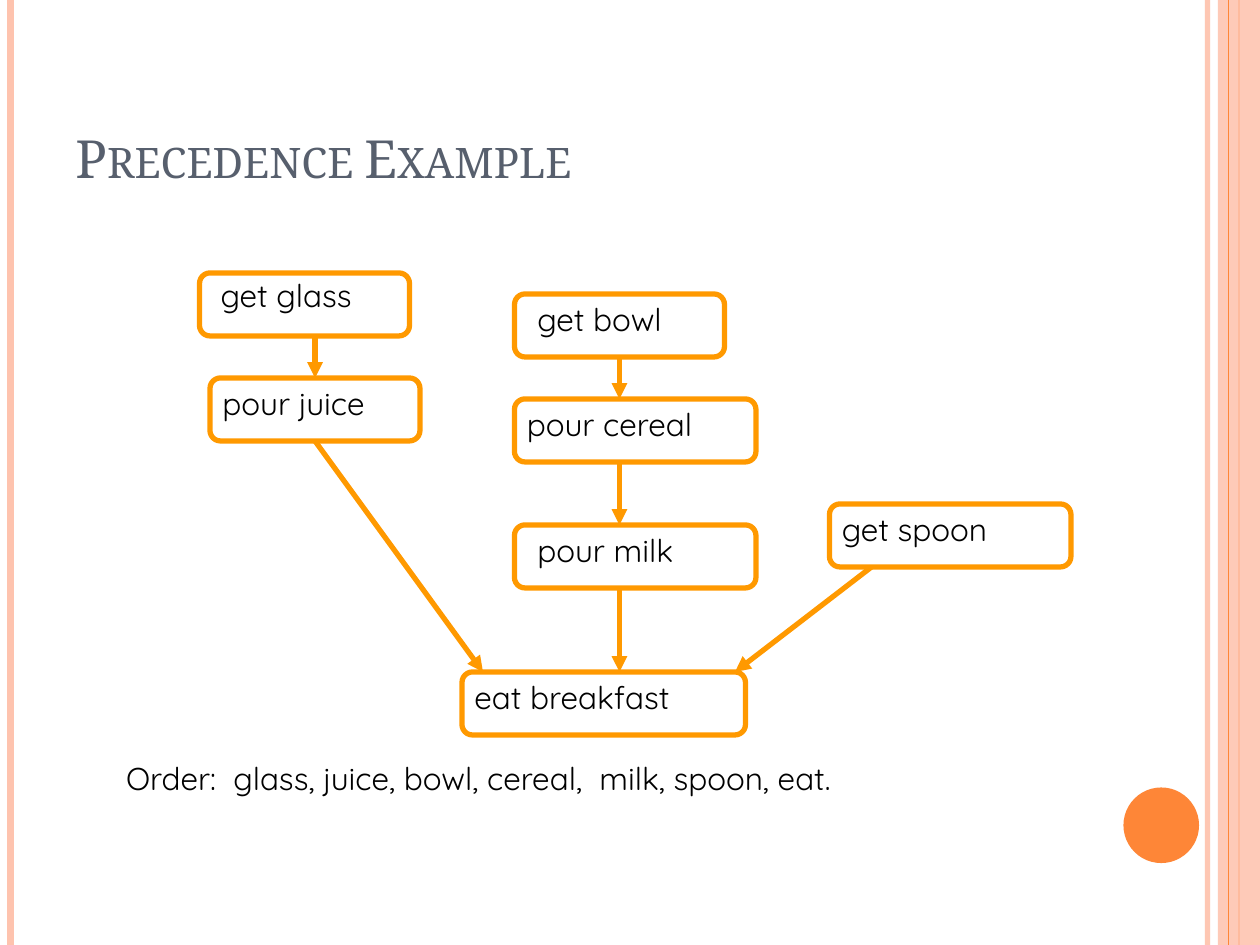
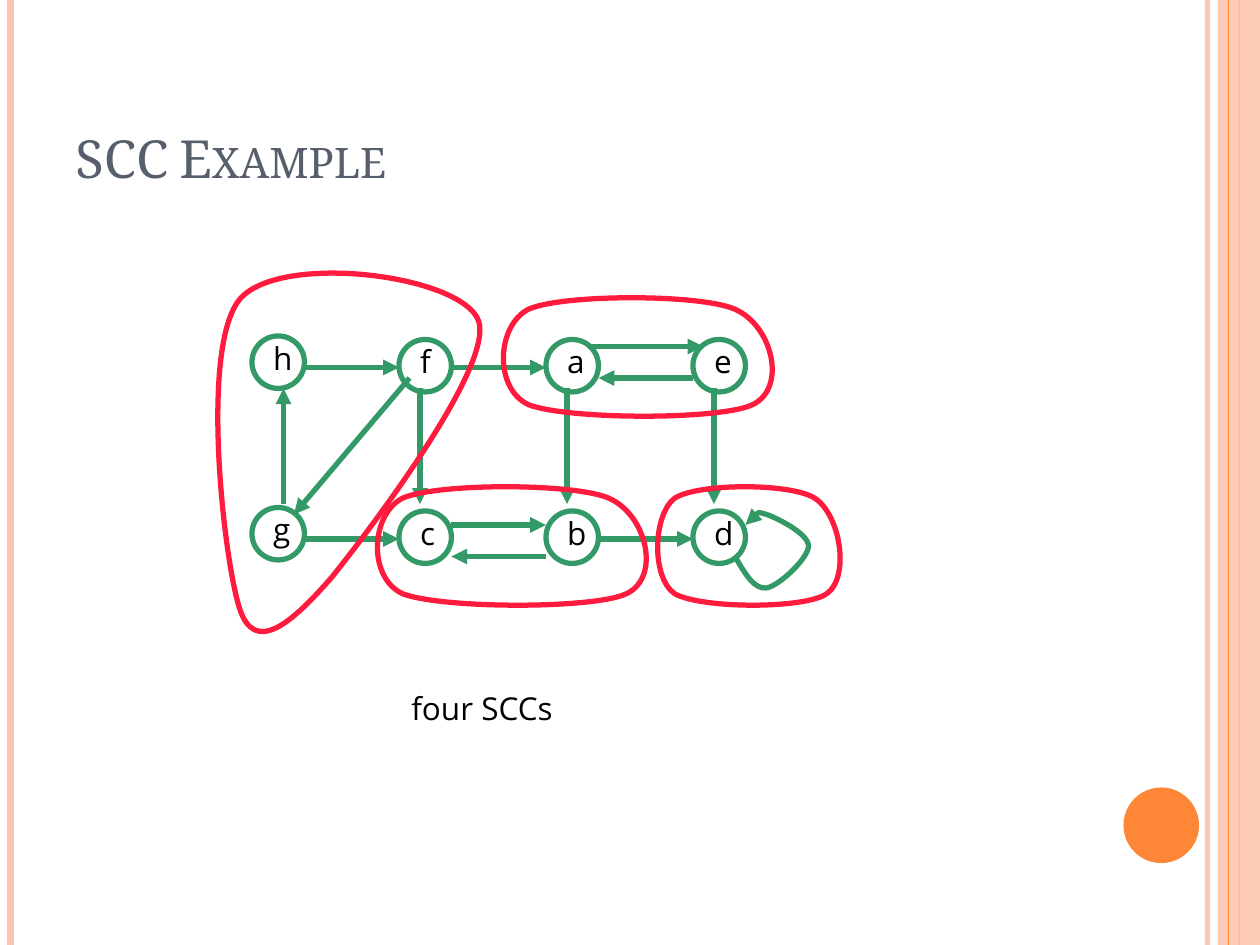
"""Build two slides on graphs: a precedence diagram and strongly connected components."""
from typing import Any, NamedTuple

from lxml.etree import SubElement
from pptx import Presentation
from pptx.dml.color import RGBColor
from pptx.enum.shapes import MSO_CONNECTOR, MSO_SHAPE
from pptx.enum.text import MSO_ANCHOR
from pptx.oxml.ns import qn
from pptx.util import Pt

WHITE = RGBColor(0xFF, 0xFF, 0xFF)
BLACK = RGBColor(0x00, 0x00, 0x00)
SLATE = RGBColor(0x57, 0x5F, 0x6D)
PEACH = RGBColor(0xFE, 0xC3, 0xAE)
ORANGE = RGBColor(0xFE, 0x86, 0x37)
AMBER = RGBColor(0xFF, 0x99, 0x00)
GREEN = RGBColor(0x33, 0x99, 0x66)
RED = RGBColor(0xFF, 0x1B, 0x3E)

WIDTH, HEIGHT = 720, 540
TITLE_FONT = {"name": "Noto Serif", "size": Pt(30)}
STEP_FONT = {"name": "Quicksand", "size": Pt(18)}
NODE_FONT = {"name": "Open Sans", "size": Pt(18)}
TITLE_FRAME = {"word_wrap": True, "vertical_anchor": MSO_ANCHOR.BOTTOM}
LABEL_FRAME = {"word_wrap": True, "vertical_anchor": MSO_ANCHOR.TOP}

Point = tuple[float, float]


class Stripe(NamedTuple):
    x: float
    weight: float
    color: RGBColor
    opacity: int = 100


class Step(NamedTuple):
    label: str
    left: float
    top: float
    width: float
    label_left: float
    label_top: float


class Node(NamedTuple):
    letter: str
    column: int
    row: int


class Arrow(NamedTuple):
    start: Point
    end: Point


class Component(NamedTuple):
    left: float
    top: float
    width: float


LEFT_STRIPES = [Stripe(690, 3, PEACH, 93), Stripe(6, 4.5, PEACH), Stripe(708, 1.5, ORANGE)]
BAND_STRIPE = Stripe(702, 0.75, ORANGE)

STEP_HEIGHT = 36
STEPS = [
    Step("get glass", 114, 156, 120, 119, 154),
    Step("pour juice", 120, 216, 120, 120, 216),
    Step("get bowl", 294, 168, 120, 300, 168),
    Step("pour cereal", 294, 228, 138, 294, 228),
    Step("pour milk", 294, 300, 138, 300, 300),
    Step("get spoon", 474, 288, 138, 474, 288),
    Step("eat breakfast", 264, 384, 162, 264, 384),
]
STEP_ARROWS = [
    Arrow((180, 192), (180, 216)),
    Arrow((354, 204), (354, 228)),
    Arrow((354, 264), (354, 300)),
    Arrow((180, 252), (276, 384)),
    Arrow((354, 336), (354, 384)),
    Arrow((498, 324), (420, 384)),
]

NODE_SIZE, COLUMN_STEP, ROW_STEP = 30, 84, 98
NODES = [Node(letter, column, row)
         for row, letters in enumerate(("hfae", "gcbd"))
         for column, letter in enumerate(letters)]
NODE_ARROWS = [
    Arrow((174, 210), (228, 210)),
    Arrow((258, 210), (312, 210)),
    Arrow((336, 198), (402, 198)),
    Arrow((396, 216), (342, 216)),
    Arrow((174, 308), (228, 308)),
    Arrow((258, 300), (312, 300)),
    Arrow((312, 318), (258, 318)),
    Arrow((342, 308), (396, 308)),
    Arrow((162, 288), (162, 222)),
    Arrow((234, 216), (168, 294)),
    *(Arrow((x, 222), (x, 288)) for x in range(240, 409, COLUMN_STEP)),
]
SELF_LOOP = [
    (420, 318), (425.5, 327.5), (431, 337), (438, 336),
    (445, 335), (462, 319), (462, 312),
    (462, 305), (444, 296), (438, 294),
    (432, 292), (429, 296), (426, 300),
]
TRIANGLE_COMPONENT = [
    (137, 171), (114, 199), (128, 321), (137, 348),
    (145.5, 374), (166, 357), (189.5, 330),
    (212, 302), (282, 209.5), (273.5, 183.5),
    (264, 157), (160, 144), (137, 171),
]
COMPONENT_HEIGHT = 72
COMPONENT_OUTLINE = [
    (0.12, 0.12), (0.01, 0.25), (0, 0.75), (0.12, 0.88),
    (0.26, 1), (0.77, 1), (0.88, 0.88),
    (1, 0.75), (0.95, 0.25), (0.82, 0.12),
    (0.7, 0), (0.24, 0), (0.12, 0.12),
]
COMPONENTS = [Component(210, 276, 168), Component(372, 276, 114), Component(282, 168, 168)]


def apply_format(target: Any, values: dict[str, Any]) -> None:
    """Set every attribute in values on target."""
    for attribute, value in values.items():
        setattr(target, attribute, value)


def set_opacity(part: Any, percent: int) -> None:
    """Make the colour inside part translucent."""
    for color in part._element.spPr.iter(qn("a:srgbClr")):
        SubElement(color, qn("a:alpha"), val=str(percent * 1000))


def add_arrowhead(part: Any) -> None:
    """End the line of part in a triangle."""
    SubElement(part.line._get_or_add_ln(), qn("a:tailEnd"), type="triangle")


def set_outline(part: Any, color: RGBColor, weight: float = 3) -> None:
    """Give part a solid line."""
    part.line.color.rgb = color
    part.line.width = Pt(weight)


def draw_line(shapes: Any, start: Point, end: Point, color: RGBColor, weight: float = 3) -> Any:
    """Draw a straight line without a shadow."""
    line = shapes.add_connector(MSO_CONNECTOR.STRAIGHT, *map(Pt, start + end))
    set_outline(line, color, weight)
    SubElement(line._element.spPr, qn("a:effectLst"))
    return line


def draw_arrow(shapes: Any, arrow: Arrow, color: RGBColor) -> None:
    """Draw a line that ends in an arrowhead."""
    add_arrowhead(draw_line(shapes, arrow.start, arrow.end, color))


def draw_stripe(shapes: Any, stripe: Stripe) -> None:
    """Draw a vertical stripe over the full slide height."""
    line = draw_line(shapes, (stripe.x, 0), (stripe.x, HEIGHT), stripe.color, stripe.weight)
    if stripe.opacity < 100:
        set_opacity(line, stripe.opacity)


def draw_filled(shapes: Any, kind: MSO_SHAPE, box: tuple, color: RGBColor) -> Any:
    """Draw a filled preset shape without a line."""
    filled = shapes.add_shape(kind, *map(Pt, box))
    filled.shadow.inherit = False
    filled.fill.solid()
    filled.fill.fore_color.rgb = color
    filled.line.fill.background()
    return filled


def draw_outlined(shapes: Any, kind: MSO_SHAPE, box: tuple, color: RGBColor) -> Any:
    """Draw a preset shape that has only a line."""
    outlined = shapes.add_shape(kind, *map(Pt, box))
    outlined.shadow.inherit = False
    outlined.fill.background()
    set_outline(outlined, color)
    return outlined


def draw_text(shapes: Any, text: str, box: tuple, font: dict, color: RGBColor = BLACK,
              frame: dict = LABEL_FRAME) -> Any:
    """Write one line of text and return its run."""
    text_frame = shapes.add_textbox(*map(Pt, box)).text_frame
    apply_format(text_frame, frame)
    run = text_frame.paragraphs[0].add_run()
    run.text = text
    apply_format(run.font, font)
    run.font.color.rgb = color
    return run


def draw_curve(shapes: Any, points: list[Point], color: RGBColor, close: bool = True) -> Any:
    """Draw a chain of Bezier curves: a start, then three points for each curve."""
    start, *rest = [(Pt(x), Pt(y)) for x, y in points]
    builder = shapes.build_freeform(*start)
    builder.add_line_segments(rest, close=close)
    curve = builder.convert_to_shape()
    segments = list(curve._element.iter(qn("a:lnTo")))
    for first in range(0, len(segments), 3):
        outline = segments[first].getparent()
        bezier = SubElement(outline, qn("a:cubicBezTo"))
        segments[first].addprevious(bezier)
        for segment in segments[first:first + 3]:
            bezier.append(segment[0])
            outline.remove(segment)
    curve.shadow.inherit = False
    curve.fill.background()
    set_outline(curve, color)
    return curve


def draw_step(shapes: Any, step: Step) -> None:
    """Draw a rounded box with its label."""
    label_box = (step.label_left, step.label_top, step.width, STEP_HEIGHT)
    draw_text(shapes, step.label, label_box, STEP_FONT)
    box = (step.left, step.top, step.width, STEP_HEIGHT)
    draw_outlined(shapes, MSO_SHAPE.ROUNDED_RECTANGLE, box, AMBER)


def draw_node(shapes: Any, node: Node) -> None:
    """Draw a circled letter as one group."""
    left = 144 + node.column * COLUMN_STEP
    top = 194 + node.row * ROW_STEP - (2 if node.column == 0 else 0)
    members = shapes.add_group_shape().shapes
    draw_outlined(members, MSO_SHAPE.OVAL, (left, top, NODE_SIZE, NODE_SIZE), GREEN)
    draw_text(members, node.letter, (left + 5, top - 2, 28, 36), NODE_FONT)


def draw_component(shapes: Any, component: Component) -> None:
    """Draw the red outline around one row of nodes."""
    points = [(component.left + x * component.width, component.top + y * COMPONENT_HEIGHT)
              for x, y in COMPONENT_OUTLINE]
    draw_curve(shapes, points, RED)


def add_slide(deck: Any, title: str) -> Any:
    """Add a slide with the shared decoration and title, and return its shapes."""
    slide = deck.slides.add_slide(deck.slide_layouts[6])
    slide.background.fill.solid()
    slide.background.fill.fore_color.rgb = WHITE
    shapes = slide.shapes
    for stripe in LEFT_STRIPES:
        draw_stripe(shapes, stripe)
    band = draw_filled(shapes, MSO_SHAPE.RECTANGLE, (696, 0, 24, HEIGHT), PEACH)
    set_opacity(band, 87)
    draw_stripe(shapes, BAND_STRIPE)
    draw_filled(shapes, MSO_SHAPE.OVAL, (642, 450, 43.2, 43.2), ORANGE)
    heading = draw_text(shapes, title, (36, 21.6, 606, 90), TITLE_FONT, SLATE, TITLE_FRAME)
    heading.font._element.set("cap", "small")
    return shapes


def build_precedence(deck: Any) -> None:
    """Build the breakfast diagram."""
    shapes = add_slide(deck, "Precedence Example")
    for step in STEPS:
        draw_step(shapes, step)
    for arrow in STEP_ARROWS:
        draw_arrow(shapes, arrow, AMBER)
    order = "Order:  glass, juice, bowl, cereal,  milk, spoon, eat."
    draw_text(shapes, order, (65, 430, 575, 36), STEP_FONT)


def build_components(deck: Any) -> None:
    """Build the graph with its strongly connected components."""
    shapes = add_slide(deck, "SCC Example")
    for node in NODES:
        draw_node(shapes, node)
    for arrow in NODE_ARROWS:
        draw_arrow(shapes, arrow, GREEN)
    add_arrowhead(draw_curve(shapes, SELF_LOOP, GREEN, close=False))
    draw_curve(shapes, TRIANGLE_COMPONENT, RED)
    for component in COMPONENTS:
        draw_component(shapes, component)
    draw_text(shapes, "four SCCs", (228, 390, 114, 36), NODE_FONT)


deck = Presentation()
apply_format(deck, {"slide_width": Pt(WIDTH), "slide_height": Pt(HEIGHT)})
build_precedence(deck)
build_components(deck)
deck.save("out.pptx")
